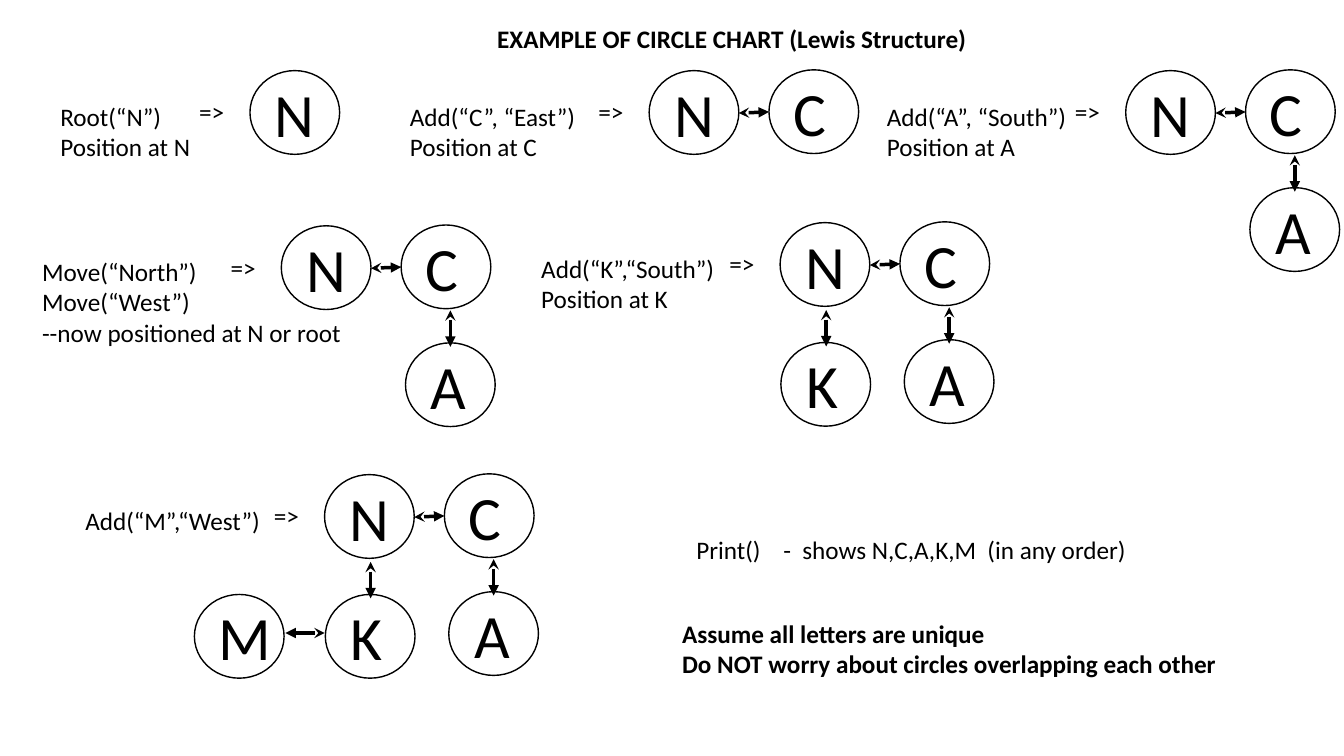
from lxml import etree
from pptx import Presentation
from pptx.dml.color import RGBColor
from pptx.enum.shapes import MSO_CONNECTOR, MSO_SHAPE
from pptx.enum.text import MSO_ANCHOR, MSO_AUTO_SIZE, PP_ALIGN
from pptx.oxml.ns import qn
from pptx.util import Cm, Pt

OVAL = MSO_SHAPE.OVAL
STRAIGHT = MSO_CONNECTOR.STRAIGHT
LEFT, CENTER = PP_ALIGN.LEFT, PP_ALIGN.CENTER
TOP, MIDDLE = MSO_ANCHOR.TOP, MSO_ANCHOR.MIDDLE
NO_AUTOFIT = MSO_AUTO_SIZE.NONE
BLACK = "000000"


def color(hex_value):
    return RGBColor.from_string(hex_value)


def write_text(shape, text, size=18, bold=False, align=LEFT, anchor=TOP,
               wrap=False, inset_x=0.25, inset_y=0.13, nudge=0):
    """Fill a shape with one paragraph per line; nudge shifts the text sideways."""
    frame = shape.text_frame
    frame.text = text
    frame.auto_size = NO_AUTOFIT
    frame.word_wrap = wrap
    frame.vertical_anchor = anchor
    frame.margin_left = Cm(inset_x + max(2 * nudge, 0))
    frame.margin_right = Cm(inset_x + max(-2 * nudge, 0))
    frame.margin_top = frame.margin_bottom = Cm(inset_y)
    for paragraph in frame.paragraphs:
        paragraph.alignment = align
        font = paragraph.font
        font.name, font.size, font.bold = "Calibri", Pt(size), bold
        font.color.rgb = color(BLACK)


presentation = Presentation()
presentation.slide_width, presentation.slide_height = Cm(33.87), Cm(19.05)
slide = presentation.slides.add_slide(presentation.slide_layouts[5])
shapes = slide.shapes

# Title
title = shapes.title
title.left, title.top, title.width, title.height = Cm(12.22), Cm(0.46), Cm(12.45), Cm(1.02)
write_text(title, "EXAMPLE OF CIRCLE CHART (Lewis Structure)", bold=True, align=CENTER)

# Circle offsets from the root circle N, with the sideways nudge of each letter
circle_width, circle_height = 2.26, 2.11
circles = {
    "N": (0, 0, 0),
    "C": (3.02, -0.02, -0.1),
    "A": (3.13, 2.95, -0.04),
    "K": (0.02, 3.02, -0.09),
    "M": (-3.28, 3.02, 0.15),
}

# Links between neighbouring circles: start and end, also from N
links = {
    "NC": (2.26, 1.07, 3.02, 1.04),
    "CA": (4.26, 2.13, 4.26, 3.05),
    "NK": (1.16, 2.2, 1.16, 3.12),
    "KM": (0, 3.99, -0.99, 3.99),
}

# Steps: root position, caption left and width, caption, letters placed so far
steps = [
    (6.3, 1.78, 1.27, 3.84, "Root(“N”)\nPosition at N", "N"),
    (16.36, 1.78, 10.08, 4.72, "Add(“C”, “East”)\nPosition at C", "NC"),
    (28.37, 1.78, 22.1, 5.08, "Add(“A”, “South”)\nPosition at A", "NCA"),
    (7.09, 5.69, 0.81, 8.13,
     "Move(“North”)\nMove(“West”)\n--now positioned at N or root", "NCA"),
    (19.66, 5.61, 13.39, 4.93, "Add(“K”,“South”)\nPosition at K", "NCAK"),
    (8.18, 11.96, 1.9, 4.95, "Add(“M”,“West”)", "NCAKM"),
]

for root_x, root_y, caption_x, caption_width, caption, letters in steps:
    # Circles with their letters
    for letter in letters:
        dx, dy, nudge = circles[letter]
        circle = shapes.add_shape(OVAL, Cm(root_x + dx), Cm(root_y + dy),
                                  Cm(circle_width), Cm(circle_height))
        circle.shadow.inherit = False
        circle.fill.background()
        circle.line.color.rgb = color(BLACK)
        circle.line.width = Pt(1)
        write_text(circle, letter, size=44, align=CENTER, anchor=MIDDLE,
                   inset_x=0, inset_y=0, nudge=nudge)

    # Caption and "gives" sign
    caption_box = shapes.add_textbox(Cm(caption_x), Cm(root_y + 0.64), Cm(caption_width),
                                     Cm(0.25 + 0.77 * len(caption.split("\n"))))
    write_text(caption_box, caption)
    sign = shapes.add_textbox(Cm(root_x - 1.53), Cm(root_y + 0.53), Cm(1.14), Cm(1.02))
    write_text(sign, "=>")

    # Double-headed links between circles that are both present
    for ends, (x1, y1, x2, y2) in links.items():
        if not set(ends) <= set(letters):
            continue
        link = shapes.add_connector(STRAIGHT, Cm(root_x + x1), Cm(root_y + y1),
                                    Cm(root_x + x2), Cm(root_y + y2))
        link.line.color.rgb = color(BLACK)
        link.line.width = Pt(2.5)
        line_xml = link.line._get_or_add_ln()
        etree.SubElement(line_xml, qn("a:headEnd"), type="stealth")
        etree.SubElement(line_xml, qn("a:tailEnd"), type="triangle")
        etree.SubElement(link._element.spPr, qn("a:effectLst"))

# Closing notes
print_note = shapes.add_textbox(Cm(17.3), Cm(13.34), Cm(11.48), Cm(1.02))
write_text(print_note, "Print()    -  shows N,C,A,K,M  (in any order)")
rules = shapes.add_textbox(Cm(16.94), Cm(15.44), Cm(14.07), Cm(1.79))
write_text(rules, "Assume all letters are unique\n"
           "Do NOT worry about circles overlapping each other", bold=True)

presentation.save("out.pptx")
